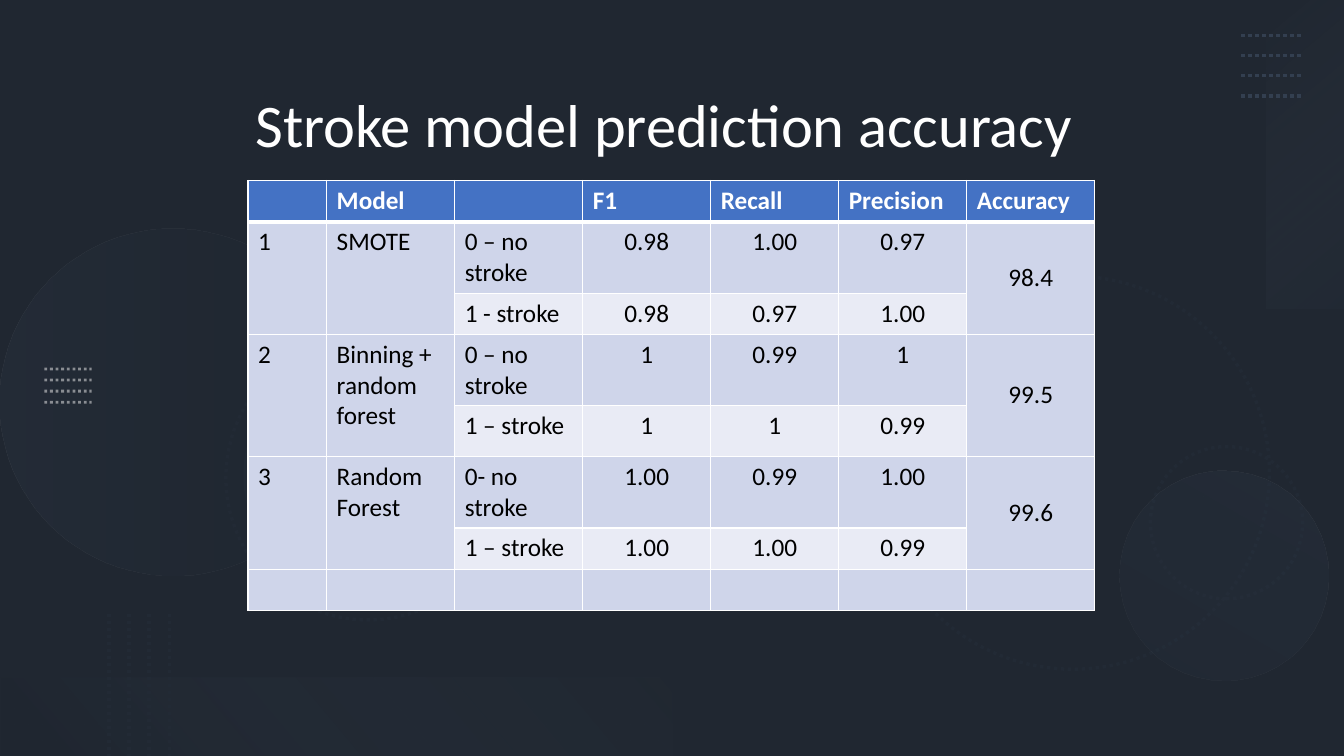
from dataclasses import dataclass

from lxml import etree
from pptx import Presentation
from pptx import util as u
from pptx.dml.color import RGBColor
from pptx.enum import dml, shapes, text
from pptx.oxml.ns import qn


@dataclass(frozen=True)
class Theme:
    """Colours, font and type sizes of the slide."""
    page: str = "203864"
    slate: str = "44546A"
    shade: str = "000000"
    dark: str = "222A35"
    steel: str = "333F50"
    mist: str = "ADB9CA"
    haze: str = "8497B0"
    pale: str = "F1F0F0"
    white: str = "FFFFFF"
    black: str = "000000"
    header: str = "4472C4"
    band: str = "CFD5EA"
    light_band: str = "E9EBF5"
    font: str = "Calibri"
    title_size: float = 43.2
    table_size: float = 18


@dataclass(frozen=True)
class Box:
    """A rectangle in inches."""
    left: float
    top: float
    width: float
    height: float

    def inside(self, left, top, width, height):
        """Return a box offset from this one."""
        return Box(self.left + left, self.top + top, width, height)

    def lengths(self):
        """Return left, top, width and height as lengths."""
        return [u.Inches(side) for side in (self.left, self.top, self.width, self.height)]


THEME = Theme()
RECTANGLE, OVAL = shapes.MSO_SHAPE.RECTANGLE, shapes.MSO_SHAPE.OVAL
COLUMN_WIDTHS = [0.78] + [1.27] * 6
ROW_HEIGHTS = [0.41, 0.2, 0.2, 0.5, 0.5, 0.41, 0.41, 0.41]
HEADINGS = ["", "Model", "", "F1", "Recall", "Precision", "Accuracy"]
MODELS = [
    ("SMOTE", "98.4", [("0 – no stroke", "0.98", "1.00", "0.97"),
                       ("1 - stroke", "0.98", "0.97", "1.00")]),
    ("Binning + random forest", "99.5", [("0 – no stroke", "1", "0.99", "1"),
                                         ("1 – stroke", "1", "1", "0.99")]),
    ("Random Forest", "99.6", [("0- no stroke", "1.00", "0.99", "1.00"),
                               ("1 – stroke", "1.00", "1.00", "0.99")]),
]


def apply(target, values):
    """Set each attribute of the target from a dict."""
    for name, value in values.items():
        setattr(target, name, value)


def rgb(colour):
    """Turn a hex string into a colour."""
    return RGBColor.from_string(colour)


def set_opacity(shape, opacities):
    """Give the colours of a shape their opacity in percent, in order."""
    for colour, opacity in zip(shape.element.iter(qn("a:srgbClr")), opacities):
        etree.SubElement(colour, qn("a:alpha"), val=str(opacity * 1000))


def style_line(line, colour, width, dotted=True):
    """Colour a line and set its width and dash."""
    line.fill.solid()
    line.fill.fore_color.rgb = rgb(colour)
    line.width = u.Pt(width)
    if dotted:
        line.dash_style = dml.MSO_LINE.ROUND_DOT


def add_plain(collection, kind, box, rotation=0):
    """Add a preset shape with neither shadow, fill nor line."""
    shape = collection.add_shape(kind, *box.lengths())
    shape.shadow.inherit = False
    shape.rotation = rotation
    shape.fill.background()
    shape.line.fill.background()
    return shape


def add_solid(collection, box, colour, opacity=100):
    """Add a rectangle in one colour."""
    shape = add_plain(collection, RECTANGLE, box)
    shape.fill.solid()
    shape.fill.fore_color.rgb = rgb(colour)
    if opacity < 100:
        set_opacity(shape, [opacity])


def add_gradient(collection, kind, box, rotation, angle, stops):
    """Add a shape with a see-through two-colour gradient."""
    shape = add_plain(collection, kind, box, rotation)
    shape.fill.gradient()
    shape.fill.gradient_angle = 360 - angle
    for stop, (position, colour, _) in zip(shape.fill.gradient_stops, stops):
        stop.color.rgb = rgb(colour)
        stop.position = position
    set_opacity(shape, [opacity for _, _, opacity in stops])


def add_ring(collection, box, rotation, dotted=True):
    """Add an outlined circle."""
    ring = add_plain(collection, OVAL, box, rotation)
    style_line(ring.line, THEME.dark, 2.5, dotted)


def add_circles(slide, box):
    """Place the group of rings and soft discs."""
    circles = slide.shapes.add_group_shape().shapes
    add_ring(circles, box.inside(8.69, 2.74, 3.9, 3.9), 75)
    add_ring(circles, box.inside(11.41, 4.43, 1.51, 1.51), 270)
    add_gradient(circles, OVAL, box.inside(0, 2.27, 3.44, 3.44), 270, 90,
                 [(0, THEME.steel, 20), (1, THEME.dark, 10)])
    add_gradient(circles, OVAL, box.inside(11.1, 4.67, 2.08, 2.08), 210, 90,
                 [(0, THEME.steel, 10), (1, THEME.steel, 20)])
    add_ring(circles, box.inside(2.24, 3.33, 2.82, 2.82), 75)
    add_ring(circles, box.inside(2.43, 3.49, 2.45, 2.45), 75, dotted=False)


def add_dots(slide, box, colour, width=2.5, upright=False, opacity=100, count=4):
    """Fill a box with evenly spaced dotted lines."""
    lines = slide.shapes.add_group_shape().shapes
    for index in range(count):
        share = index / (count - 1)
        if upright:
            x = box.left + box.width * share
            ends = (x, box.top, x, box.top + box.height)
        else:
            y = box.top + box.height * share
            ends = (box.left, y, box.left + box.width, y)
        connector = lines.add_connector(shapes.MSO_CONNECTOR.STRAIGHT, *map(u.Inches, ends))
        style_line(connector.line, colour, width)
        etree.SubElement(connector.element.spPr, qn("a:effectLst"))
        if opacity < 100:
            set_opacity(connector, [opacity])


def add_backdrop(slide, box):
    """Cover the box with the dark backdrop and its ornaments."""
    slide.background.fill.solid()
    slide.background.fill.fore_color.rgb = rgb(THEME.page)
    add_solid(slide.shapes, box, THEME.slate)
    add_solid(slide.shapes, box, THEME.shade, 53)
    add_circles(slide, box)
    add_gradient(slide.shapes, RECTANGLE, box.inside(11.42, 1.14, 3.06, 0.78), 270, 140,
                 [(0, THEME.mist, 0), (1, THEME.steel, 10)])
    add_gradient(slide.shapes, RECTANGLE, box.inside(0, 6.72, 6.67, 0.78), 180, 140,
                 [(0.1, THEME.dark, 10), (1, THEME.haze, 0)])
    add_dots(slide, box.inside(12.31, 0.35, 0.6, 0.6), THEME.steel)
    add_dots(slide, box.inside(1.08, 6.09, 0.6, 1.41), THEME.dark, upright=True)
    add_dots(slide, box.inside(0.44, 3.66, 0.47, 0.33), THEME.pale, width=2, opacity=50)


def add_title(slide, box, wording):
    """Place the title in front of the backdrop."""
    title = slide.shapes.title
    apply(title, dict(zip(("left", "top", "width", "height"), box.lengths())))
    apply(title.text_frame, {"text": wording, "word_wrap": True,
                             "auto_size": text.MSO_AUTO_SIZE.NONE,
                             "vertical_anchor": text.MSO_ANCHOR.MIDDLE})
    paragraph = title.text_frame.paragraphs[0]
    apply(paragraph, {"alignment": text.PP_ALIGN.CENTER, "line_spacing": 0.9})
    apply(paragraph.font, {"name": THEME.font, "size": u.Pt(THEME.title_size)})
    paragraph.font.color.rgb = rgb(THEME.white)
    slide.shapes.element.append(title.element)


def style_cell(cell, fill, heading=False, centred=False):
    """Format the text, borders and fill of a cell."""
    paragraph = cell.text_frame.paragraphs[0]
    paragraph.alignment = text.PP_ALIGN.CENTER if centred else text.PP_ALIGN.LEFT
    apply(paragraph.font, {"name": THEME.font, "size": u.Pt(THEME.table_size), "bold": heading})
    paragraph.font.color.rgb = rgb(THEME.white if heading else THEME.black)
    properties = cell._tc.get_or_add_tcPr()
    for side in "LRTB":
        width = 3 if heading and side == "B" else 1
        border = etree.SubElement(properties, qn(f"a:ln{side}"), w=str(u.Pt(width)))
        solid = etree.SubElement(border, qn("a:solidFill"))
        etree.SubElement(solid, qn("a:srgbClr"), val=THEME.white)
    cell.fill.solid()
    cell.fill.fore_color.rgb = rgb(fill)


def add_scores(slide, box):
    """Place the table of model scores."""
    rows = [HEADINGS]
    for number, (model, accuracy, classes) in enumerate(MODELS, 1):
        first, second = classes
        rows += [[str(number), model, *first, accuracy], ["", "", *second, ""]]
    rows.append([""] * len(HEADINGS))
    frame = slide.shapes.add_table(len(rows), len(HEADINGS), *box.lengths())
    table = frame.table
    for column, width in zip(table.columns, COLUMN_WIDTHS):
        column.width = u.Inches(width)
    for row, height in zip(table.rows, ROW_HEIGHTS):
        row.height = u.Inches(height)
    frame.height = u.Inches(box.height)
    for i, row in enumerate(rows):
        for j, wording in enumerate(row):
            cell = table.cell(i, j)
            cell.text = wording
            second_class = i in (2, 4, 6) and 2 <= j <= 5
            fill = THEME.header if i == 0 else THEME.light_band if second_class else THEME.band
            style_cell(cell, fill, heading=i == 0, centred=i > 0 and j > 2)
    for i in range(1, len(rows) - 1, 2):
        for j in (0, 1, 6):
            table.cell(i, j).merge(table.cell(i + 1, j))
        table.cell(i, 6).vertical_anchor = text.MSO_ANCHOR.MIDDLE


def main():
    """Build and save the presentation."""
    presentation = Presentation()
    page = Box(0, 0, 13.33, 7.5)
    apply(presentation, {"slide_width": u.Inches(page.width), "slide_height": u.Inches(page.height)})
    slide = presentation.slides.add_slide(presentation.slide_layouts[5])
    add_backdrop(slide, page)
    add_title(slide, page.inside(0.69, 0.88, 11.79, 0.78), "Stroke model prediction accuracy")
    add_scores(slide, page.inside(2.46, 1.79, 8.4, 4.22))
    presentation.save("out.pptx")


if __name__ == "__main__":
    main()
